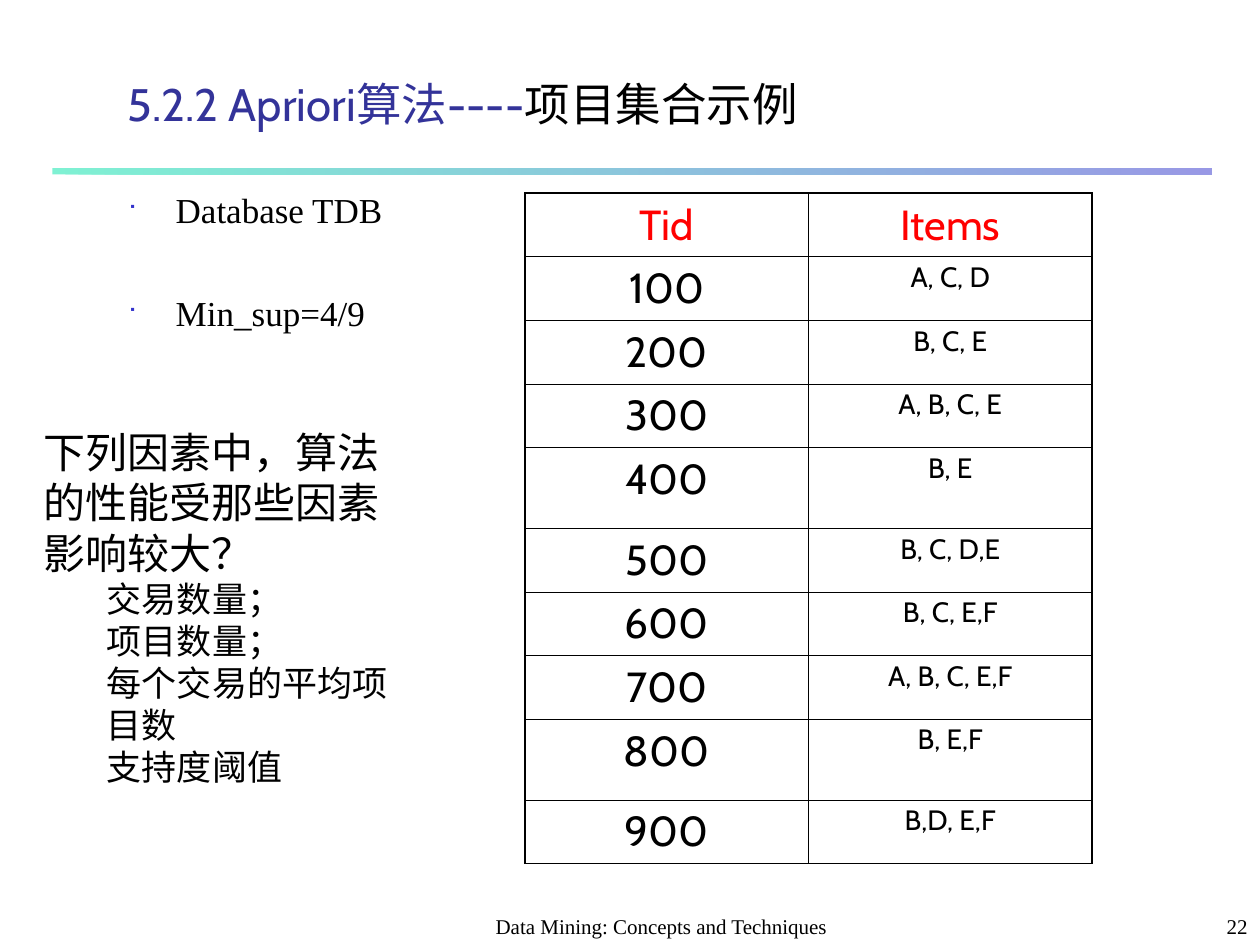
from lxml import etree
from pptx import Presentation
from pptx.dml.color import RGBColor
from pptx.enum.shapes import MSO_SHAPE
from pptx.enum.text import MSO_ANCHOR, PP_ALIGN
from pptx.oxml.ns import qn
from pptx.util import Inches, Pt

RECT = MSO_SHAPE.RECTANGLE
TOP, BOTTOM = MSO_ANCHOR.TOP, MSO_ANCHOR.BOTTOM
LEFT, CENTER, RIGHT = PP_ALIGN.LEFT, PP_ALIGN.CENTER, PP_ALIGN.RIGHT

COLS, ROWS = 120, 90  # slide grid, twelve units to the inch
BLACK, RED, NAVY, BLUE, MINT = "000000", "FF0000", "333399", "3333CC", "00E4A8"
SERIF, SANS = "Times New Roman", "Cabin"
THIN, THICK = 0.45, 1.08

TRANSACTIONS = [
    ("Tid", "Items"),
    ("100", "A, C, D"),
    ("200", "B, C, E"),
    ("300", "A, B, C, E"),
    ("400", "B, E"),
    ("500", "B, C, D,E"),
    ("600", "B, C, E,F"),
    ("700", "A, B, C, E,F"),
    ("800", "B, E,F"),
    ("900", "B,D, E,F"),
]
TALL_ROWS = ("400", "800")
FACTORS = ["交易数量；", "项目数量；", "每个交易的平均项目数", "支持度阈值"]


def grid(units):
    return Inches(units / 12)


def rgb(color):
    return RGBColor.from_string(color)


def add_run(p, text, size, font=SERIF, color=BLACK):
    r = p.add_run()
    r.text = text
    for name, value in {"size": Pt(size), "name": font}.items():
        setattr(r.font, name, value)
    r.font.color.rgb = rgb(color)


def add_box(s, box, anchor=TOP):
    tf = s.shapes.add_textbox(*map(grid, box)).text_frame
    tf.word_wrap = True
    tf.vertical_anchor = anchor
    return tf


def add_title(s, box):
    p = add_box(s, box, BOTTOM).paragraphs[0]
    add_run(p, "5.2.2 Apriori算法----", 26, SANS, NAVY)
    add_run(p, "项目集合示例", 26)


def add_rule(s, box):
    """Gradient band under the title."""
    sp = s.shapes.add_shape(RECT, *map(grid, box))
    sp.shadow.inherit = False
    sp.line.fill.background()
    sp.fill.gradient()
    sp.fill.gradient_angle = 0
    for stop, color, position in zip(sp.fill.gradient_stops, (MINT, BLUE), (0, 1)):
        stop.color.rgb = rgb(color)
        stop.position = position
    for clr in sp._element.spPr.iter(qn("a:srgbClr")):
        etree.SubElement(clr, qn("a:alpha"), val="50000")


def set_bullet(p, indent):
    pPr = p._p.get_or_add_pPr()
    pPr.set("marL", str(indent))
    pPr.set("indent", str(-indent))
    clr = etree.SubElement(pPr, qn("a:buClr"))
    etree.SubElement(clr, qn("a:srgbClr"), val=BLUE)
    etree.SubElement(pPr, qn("a:buSzPct"), val="60000")
    etree.SubElement(pPr, qn("a:buFont"), typeface="Wingdings")
    etree.SubElement(pPr, qn("a:buChar"), char="■")


def add_database_facts(s, box):
    tf = add_box(s, box)
    tf.margin_top = Inches(0.08)
    first, second = tf.paragraphs[0], tf.add_paragraph()
    second.space_before = Pt(35)
    for p, text in ((first, "Database TDB"), (second, "Min_sup=4/9")):
        set_bullet(p, Inches(0.38))
        add_run(p, text, 20)


def add_question(s, box):
    tf = add_box(s, box)
    add_run(tf.paragraphs[0], "下列因素中，算法的性能受那些因素影响较大？", 24)
    for factor in FACTORS:
        p = tf.add_paragraph()
        p.level = 1
        p._p.get_or_add_pPr().set("marL", str(Inches(0.5)))
        add_run(p, factor, 20)


def set_borders(cell, widths):
    tcPr = cell._tc.get_or_add_tcPr()
    for side, width in widths.items():
        ln = etree.SubElement(tcPr, qn(f"a:ln{side}"), w=str(Pt(width)))
        fill = etree.SubElement(ln, qn("a:solidFill"))
        etree.SubElement(fill, qn("a:srgbClr"), val=BLACK)


def add_transactions(s, box):
    n_rows, n_cols = len(TRANSACTIONS), len(TRANSACTIONS[0])
    table = s.shapes.add_table(n_rows, n_cols, *map(grid, box)).table
    table.first_row = table.horz_banding = False
    for col in table.columns:
        col.width = grid(box[2] / n_cols)
    for i, record in enumerate(TRANSACTIONS):
        table.rows[i].height = grid(7.7 if record[0] in TALL_ROWS else 6.06)
        for j, text in enumerate(record):
            cell = table.cell(i, j)
            edges = {"L": j == 0, "R": j == n_cols - 1,
                     "T": i == 0, "B": i == n_rows - 1}
            set_borders(cell, {k: THICK if outer else THIN
                               for k, outer in edges.items()})
            cell.fill.background()
            p = cell.text_frame.paragraphs[0]
            p.alignment = CENTER
            is_item = i > 0 and j == 1
            if is_item:
                p.line_spacing = 0.9
            add_run(p, text, 16 if is_item else 24, SANS, BLACK if i else RED)


def add_footer(s, box, text, align):
    p = add_box(s, box, BOTTOM).paragraphs[0]
    p.alignment = align
    add_run(p, text, 12)


def main():
    prs = Presentation()
    prs.slide_width, prs.slide_height = grid(COLS), grid(ROWS)
    s = prs.slides.add_slide(prs.slide_layouts[6])
    add_rule(s, (5, 16, 110.4, 0.6))
    add_database_facts(s, (11, 17, 37, 20))
    add_transactions(s, (50, 18.4, 54, 63.3))
    add_title(s, (11, 5, 102, 8))
    add_footer(s, (44, 85, 38, 5), "Data Mining: Concepts and Techniques", CENTER)
    add_footer(s, (95, 85, 25, 5), "22", RIGHT)
    add_question(s, (3, 40, 38, 35.6))
    prs.save("out.pptx")


if __name__ == "__main__":
    main()
